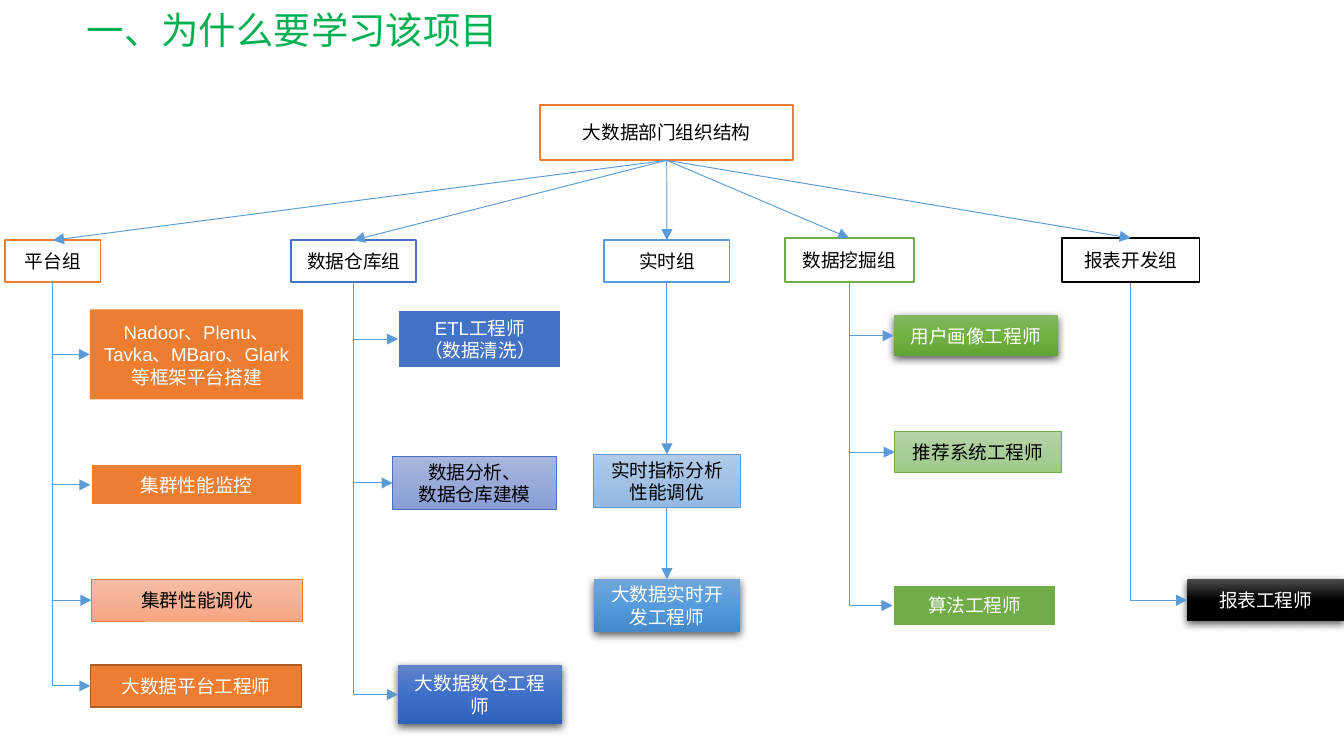
from copy import deepcopy

from lxml.etree import SubElement
from pptx import Presentation
from pptx.dml.color import RGBColor as RGB
from pptx.enum.shapes import MSO_CONNECTOR as Connector, MSO_SHAPE as Shape
from pptx.enum.text import MSO_ANCHOR as Anchor, MSO_AUTO_SIZE as AutoSize, PP_ALIGN as Align
from pptx.oxml.ns import qn
from pptx.util import Cm, Pt

COLORS = {
    "title": "00B050", "arrow": "5B9BD5", "white": "FFFFFF", "black": "000000",
    "orange": "ED7D31", "dark orange": "AF5C24", "blue": "4472C4",
    "sky": "5B9BD5", "green": "70AD47",
}
# Top, middle and bottom colour of each vertical gradient
SOFT = {
    "orange": ("F7BDA5", "F5B196", "F8A582"),
    "blue": ("A8B7DF", "9AABD9", "889ED7"),
    "sky": ("B1CBE9", "A3C1E5", "93B9E4"),
    "green": ("B5D5A7", "AACE9A", "9CC987"),
}
GLOSSY = {
    "blue": ("6183CB", "3E70CA", "3062BB"),
    "sky": ("71A6DB", "559BDB", "448ACA"),
    "green": ("81B861", "6FB242", "62A336"),
    "black": ("4B4B4B", "000000", "000000"),
}
ROW = 0.79

# Group: name, colour, box, layout of its jobs; job: text, style, box (cm)
GROUPS = [
    ("平台组", "orange", (0.1, 4.54, 1.8, ROW), "branch", [
        ("Nadoor、Plenu、Tavka、MBaro、Glark等框架平台搭建", "plain", (1.7, 5.85, 4.03, 1.7)),
        ("集群性能监控", "white edge", (1.71, 8.77, 4.01, ROW)),
        ("集群性能调优", "soft", (1.73, 10.95, 3.99, ROW)),
        ("大数据平台工程师", "dark edge", (1.71, 12.57, 3.99, ROW)),
    ]),
    ("数据仓库组", "blue", (5.5, 4.54, 2.37, ROW), "branch", [
        ("ETL工程师\n（数据清洗）", "white edge", (7.52, 5.85, 3.1, 1.12)),
        ("数据分析、\n数据仓库建模", "soft", (7.42, 8.63, 3.1, 1)),
        ("大数据数仓工程师", "glossy", (7.52, 12.57, 3.1, 1.12)),
    ]),
    ("实时组", "sky", (11.42, 4.54, 2.37, ROW), "chain", [
        ("实时指标分析\n性能调优", "soft", (11.22, 8.59, 2.77, 1)),
        ("大数据实时开发工程师", "glossy", (11.22, 10.95, 2.77, 1)),
    ]),
    ("数据挖掘组", "green", (14.83, 4.5, 2.44, 0.84), "branch", [
        ("用户画像工程师", "glossy", (16.89, 5.95, 3.1, ROW)),
        ("推荐系统工程师", "soft", (16.91, 8.15, 3.15, ROW)),
        ("算法工程师", "white edge", (16.87, 11.05, 3.1, ROW)),
    ]),
    ("报表开发组", "black", (20.07, 4.5, 2.6, 0.84), "branch", [
        ("报表工程师", "glossy", (22.44, 10.95, 2.96, ROW)),
    ]),
]

prs = Presentation()
prs.slide_width, prs.slide_height = Cm(25.4), Cm(14.29)
slide = prs.slides.add_slide(prs.slide_layouts[5])


def write(shape, text, *, size=10, color="black", anchor=Anchor.MIDDLE, wrap=True):
    frame = shape.text_frame
    frame.text = text
    frame.auto_size = AutoSize.NONE
    frame.word_wrap = wrap
    frame.vertical_anchor = anchor
    for paragraph in frame.paragraphs:
        paragraph.alignment = Align.CENTER
        font = paragraph.runs[0].font
        font.name, font.size = "Arial", Pt(size)
        font.color.rgb = RGB.from_string(COLORS[color])


def link(start, end, bent=False):
    """Arrow from the bottom of start to the top of end, or bent to its left side."""
    arrow = slide.shapes.add_connector(Connector.ELBOW if bent else Connector.STRAIGHT, 0, 0, 0, 0)
    arrow.begin_connect(start, 2)
    arrow.end_connect(end, 1 if bent else 0)
    arrow.line.color.rgb = RGB.from_string(COLORS["arrow"])
    arrow.line.width = Pt(0.5)
    properties = arrow._element.spPr
    SubElement(properties.find(qn("a:ln")), qn("a:tailEnd"), type="triangle")
    SubElement(properties, qn("a:effectLst"))
    if bent:
        # The one-corner elbow runs across then down, so it is turned and mirrored
        across, down = arrow.width, arrow.height
        arrow.left += (across - down) // 2
        arrow.top += (down - across) // 2
        arrow.width, arrow.height = down, across
        turn = properties.find(qn("a:xfrm"))
        turn.set("rot", "16200000")
        turn.set("flipH", "1")
        properties.find(qn("a:prstGeom")).set("prst", "bentConnector2")


# Title
title = slide.shapes.title
title.left, title.top, title.width, title.height = Cm(1.35), Cm(0), Cm(8.36), Cm(1.12)
write(title, "一、为什么要学习该项目", size=20, color="title", anchor=Anchor.TOP, wrap=False)

# Every box in drawing order, and the links between them by index
boxes = [("大数据部门组织结构", "frame", "orange", (10.21, 1.98, 4.78, 1.05))]
links = []
for group, color, place, layout, jobs in GROUPS:
    head = len(boxes)
    boxes.append((group, "frame", color, place))
    links.append((0, head, False))
    for number, (job, style, job_place) in enumerate(jobs):
        branch = layout == "branch"
        links.append((head if branch else head + number, len(boxes), branch))
        boxes.append((job, style, color, job_place))

drawn = []
for text, style, color, place in boxes:
    box = slide.shapes.add_shape(Shape.RECTANGLE, *map(Cm, place))
    box.shadow.inherit = False
    gradient = {"soft": SOFT, "glossy": GLOSSY}.get(style, {}).get(color)
    if gradient:
        box.fill.gradient()
        box.fill.gradient_angle = 270
        stops = box._element.spPr.find(qn("a:gradFill")).find(qn("a:gsLst"))
        stops.insert(1, deepcopy(stops[0]))
        for stop, shade, position in zip(box.fill.gradient_stops, gradient, (0, 0.5, 1)):
            stop.color.rgb = RGB.from_string(shade)
            stop.position = position
    else:
        box.fill.solid()
        box.fill.fore_color.rgb = RGB.from_string(COLORS["white" if style == "frame" else color])

    edges = {"frame": (color, 1), "soft": (color, 0.5),
             "white edge": ("white", 1.5), "dark edge": ("dark orange", 1)}
    if style in edges:
        edge, width = edges[style]
        box.line.color.rgb = RGB.from_string(COLORS[edge])
        box.line.width = Pt(width)
    else:
        box.line.fill.background()

    if style == "glossy":
        effects = box._element.spPr.find(qn("a:effectLst"))
        shadow = SubElement(effects, qn("a:outerShdw"), blurRad=str(Pt(4.5)), dist=str(Pt(1.5)),
                            dir="5400000", algn="ctr", rotWithShape="0")
        tint = SubElement(shadow, qn("a:srgbClr"), val=COLORS["black"])
        SubElement(tint, qn("a:alpha"), val="63000")

    write(box, text, color="black" if style in ("frame", "soft") else "white")
    drawn.append(box)

for start, end, bent in links:
    link(drawn[start], drawn[end], bent)

prs.save("out.pptx")
